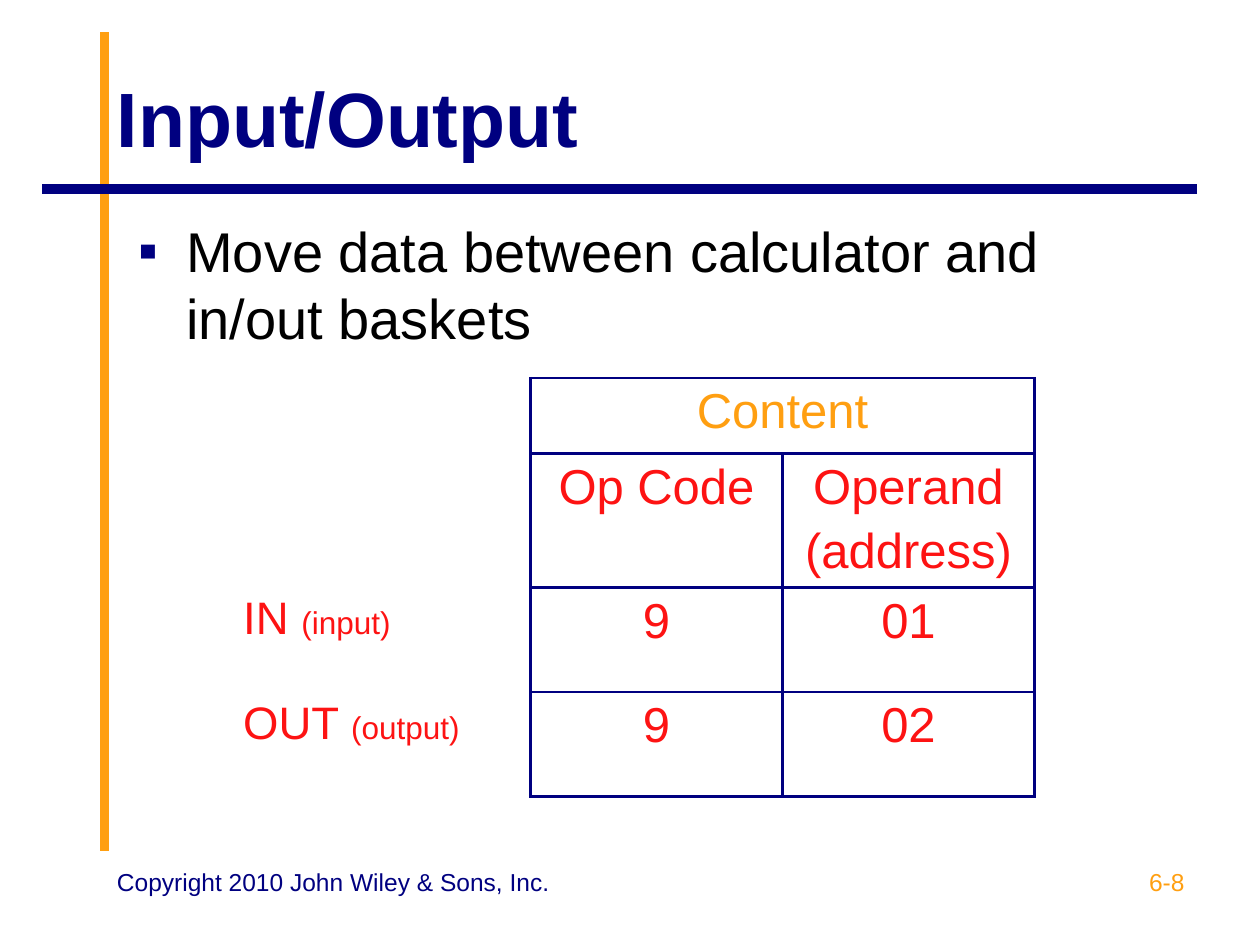
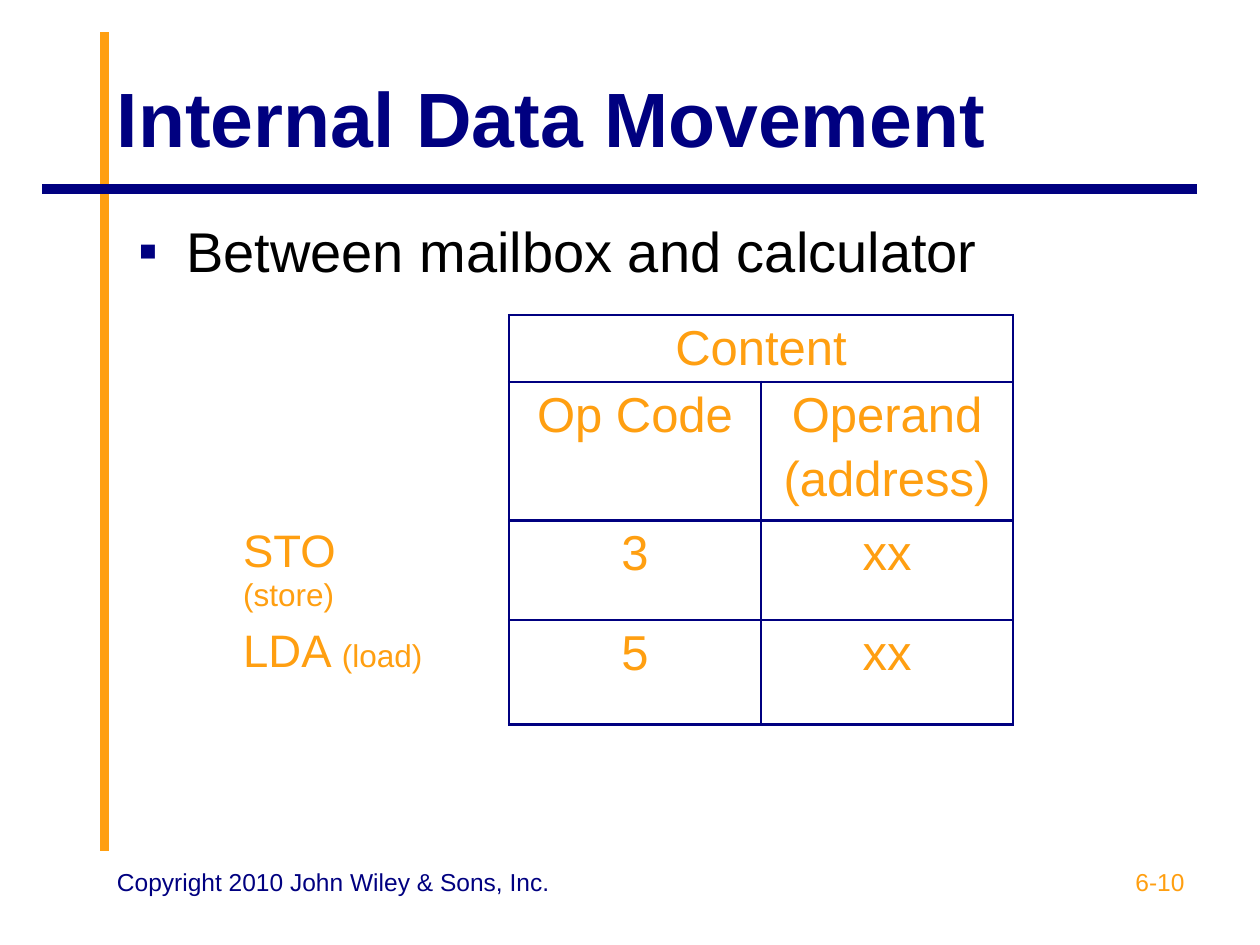
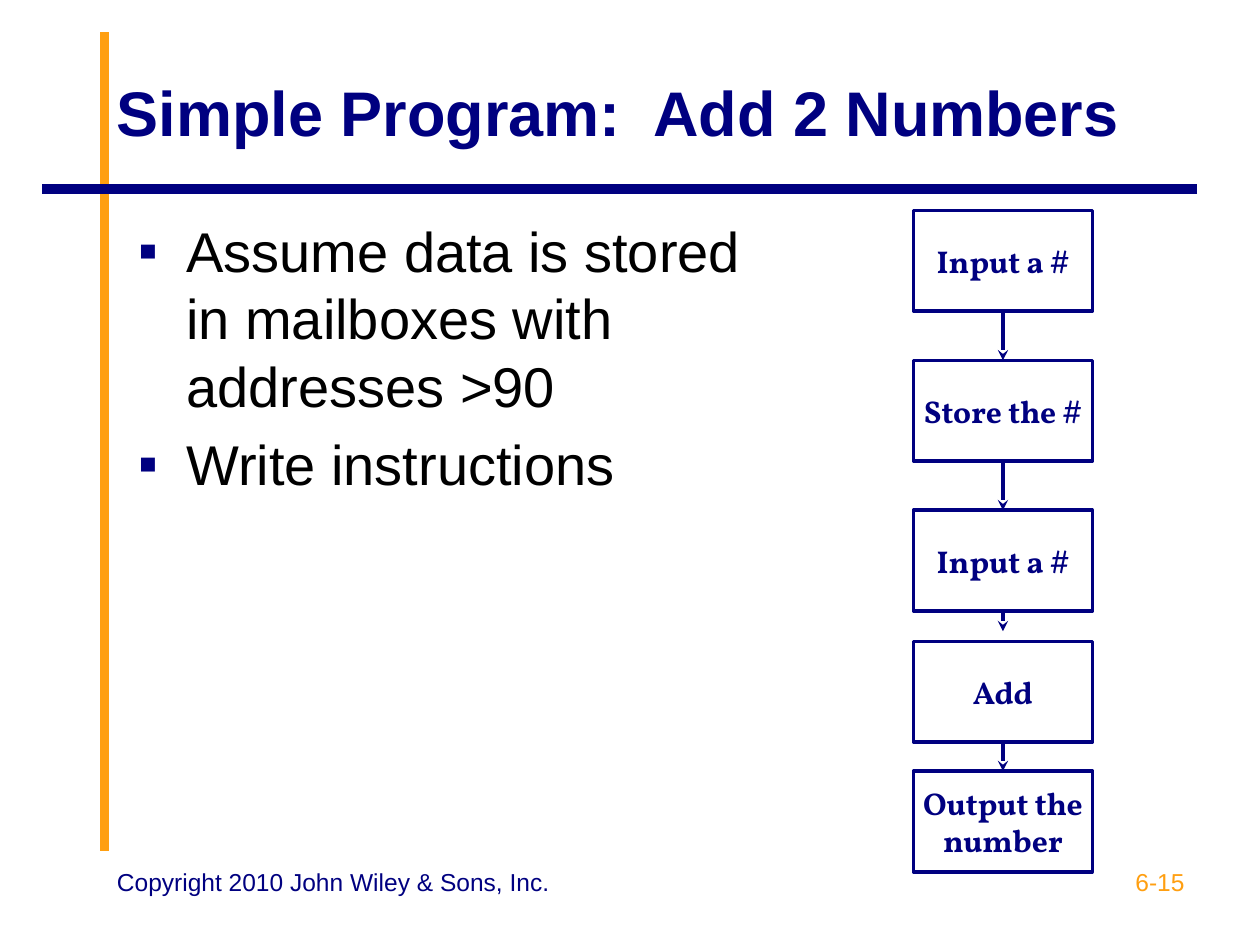
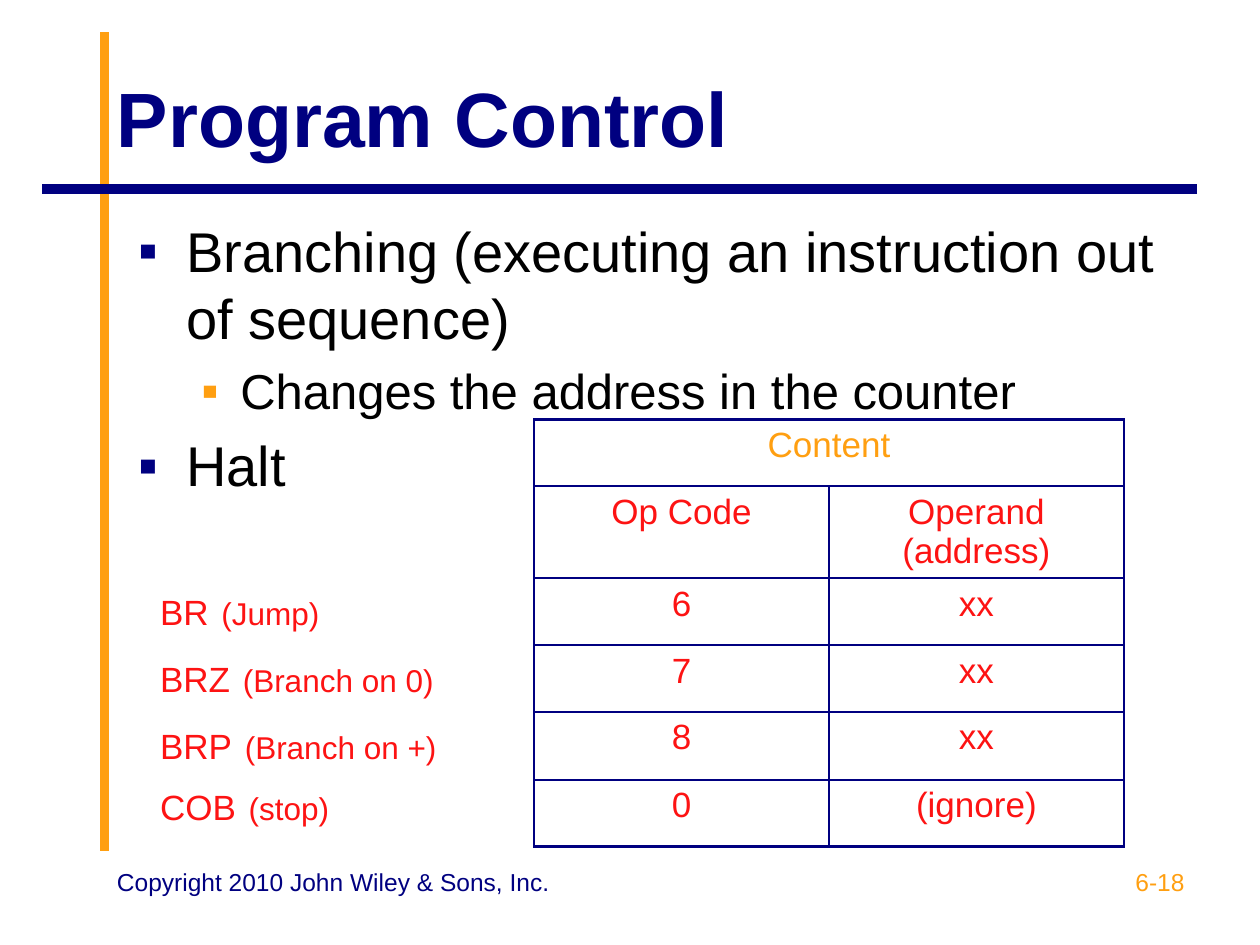
from lxml import etree
from pptx import Presentation
from pptx.dml.color import RGBColor
from pptx.enum.shapes import MSO_CONNECTOR, MSO_SHAPE
from pptx.enum.text import MSO_ANCHOR, PP_ALIGN
from pptx.oxml.ns import qn
from pptx.util import Inches, Pt

LEFT, CENTER, RIGHT = PP_ALIGN.LEFT, PP_ALIGN.CENTER, PP_ALIGN.RIGHT
TOP, MIDDLE = MSO_ANCHOR.TOP, MSO_ANCHOR.MIDDLE
STRAIGHT, RECTANGLE = MSO_CONNECTOR.STRAIGHT, MSO_SHAPE.RECTANGLE

NAVY = RGBColor(0x00, 0x00, 0x80)
ORANGE = RGBColor(0xFF, 0x9F, 0x11)
RED = RGBColor(0xFD, 0x13, 0x13)
BLACK = RGBColor(0x00, 0x00, 0x00)
WHITE = RGBColor(0xFF, 0xFF, 0xFF)
FONT, FLOW_FONT = "Arial", "Vollkorn"

# Content
COPYRIGHT = "Copyright 2010 John Wiley & Sons, Inc."

SLIDES = [
    {
        "title": "Input/Output", "number": "6-8",
        "bullets": [(0, "Move data between calculator and in/out baskets")],
        "table": {
            "at": (1.83, 3), "columns": (2, 0.38, 2, 2), "rows": (0.6, 1.04, 0.83, 0.83),
            "color": RED, "size": 28, "code_size": 26,
            "operand": ["Operand", "(address)"],
            "instructions": [("IN", "(input)", "9", "01"), ("OUT", "(output)", "9", "02")],
        },
    },
    {
        "title": "Internal Data Movement", "number": "6-10", "body_height": 0.78,
        "bullets": [(0, "Between mailbox and calculator")],
        "table": {
            "at": (1.83, 2.5), "columns": (1.75, 0.46, 2, 2), "rows": (0.53, 1.1, 0.79, 0.83),
            "color": ORANGE, "size": 28, "code_size": 26,
            "operand": ["Operand", "(address)"],
            "instructions": [("STO", "(store)", "3", "xx"), ("LDA", "(load)", "5", "xx")],
        },
    },
    {
        "title": "Simple Program:  Add 2 Numbers", "number": "6-15",
        "title_size": 36, "title_spacing": 0.9,
        "bullets": [(0, "Assume data is stored\nin mailboxes with\naddresses >90"),
                    (0, "Write instructions")],
        # Each step: top edge, lines of text
        "flow": [(1.67, ["Input a #"]), (2.86, ["Store the #"]), (4.05, ["Input a #"]),
                 (5.09, ["Add"]), (6.12, ["Output the", "number"])],
    },
    {
        "title": "Program Control", "number": "6-18",
        "bullets": [(0, "Branching (executing an instruction out of sequence)"),
                    (1, "Changes the address in the counter"),
                    (0, "Halt")],
        "table": {
            "at": (1.17, 3.33), "columns": (2.67, 0.4, 2.34, 2.34),
            "rows": (0.53, 0.73, 0.53, 0.53, 0.54, 0.53),
            "color": RED, "size": 20, "code_size": 20,
            "operand": ["Operand\n(address)"],
            "instructions": [("BR", "(Jump)", "6", "xx"), ("BRZ", "(Branch on 0)", "7", "xx"),
                             ("BRP", "(Branch on +)", "8", "xx"), ("COB", "(stop)", "0", "(ignore)")],
            "last_label_spacing": 0.85,
        },
    },
]

# Bullet levels: text size, left margin, hanging indent, bullet colour
LEVELS = [(32, 0.38, 0.38, NAVY), (28, 0.81, 0.31, ORANGE)]

FLOW_LEFT, FLOW_WIDTH, FLOW_HEIGHT = 7.25, 1.42, 0.8
SHORT_ARROW_END = {2: 5.01}  # this arrow stops before the next box


# Text
def set_bullet(paragraph, margin, hanging, color):
    properties = paragraph._p.get_or_add_pPr()
    properties.set("marL", str(Inches(margin)))
    properties.set("indent", str(-Inches(hanging)))
    bullet_color = etree.SubElement(properties, qn("a:buClr"))
    etree.SubElement(bullet_color, qn("a:srgbClr")).set("val", str(color))
    etree.SubElement(properties, qn("a:buFont")).set("typeface", FONT)
    etree.SubElement(properties, qn("a:buChar")).set("char", "▪")


def write_text(frame, paragraphs, size=18, color=BLACK, font=FONT, bold=False,
               align=LEFT, line_spacing=None, space_ratio=0.2, bullet=None):
    """Append paragraphs; each is a string or a list of (text, size) runs."""
    for content in paragraphs:
        first = not frame.text
        paragraph = frame.paragraphs[0] if first else frame.add_paragraph()
        if bullet:
            set_bullet(paragraph, *bullet)
        paragraph.alignment = align
        paragraph.space_before = Pt(0 if first else size * space_ratio)
        if line_spacing:
            paragraph.line_spacing = line_spacing
        runs = [(content, size)] if isinstance(content, str) else content
        for text, run_size in runs:
            for index, line in enumerate(text.split("\n")):
                if index:
                    paragraph.add_line_break()
                run = paragraph.add_run()
                run.text = line
                run.font.name = font
                run.font.size = Pt(run_size)
                run.font.bold = bold
                run.font.color.rgb = color


def add_text_frame(slide, left, top, width, height, anchor=TOP):
    box = slide.shapes.add_textbox(Inches(left), Inches(top), Inches(width), Inches(height))
    box.text_frame.word_wrap = True
    box.text_frame.vertical_anchor = anchor
    return box.text_frame


# Lines
def add_line(slide, start, end, color, width, arrow=False):
    connector = slide.shapes.add_connector(STRAIGHT, *map(Inches, start + end))
    connector.line.color.rgb = color
    connector.line.width = Pt(width)
    if arrow:
        etree.SubElement(connector.line._get_or_add_ln(), qn("a:tailEnd")).set("type", "stealth")
    etree.SubElement(connector._element.spPr, qn("a:effectLst"))
    return connector


# Parts that every slide shares
def add_frame(slide, content):
    add_line(slide, (0.83, 6.75), (0.83, 0.25), ORANGE, 5.5)
    add_line(slide, (9.5, 1.5), (0.33, 1.5), NAVY, 5.5)
    write_text(add_text_frame(slide, 0.83, 6.83, 3.67, 0.52), [COPYRIGHT], size=14, color=NAVY)
    write_text(add_text_frame(slide, 7.17, 6.83, 2.33, 0.52), [content["number"]],
               size=14, color=ORANGE, align=RIGHT)
    write_text(add_text_frame(slide, 0.83, 0.3, 8.67, 1.25, MIDDLE), [content["title"]],
               size=content.get("title_size", 44), color=NAVY, bold=True,
               line_spacing=content.get("title_spacing"))
    body = add_text_frame(slide, 1, 1.67, 8.5, content.get("body_height", 4.95))
    for level, text in content["bullets"]:
        size, *bullet = LEVELS[level]
        write_text(body, [text], size=size, bullet=bullet)


# Instruction table
def set_borders(cell, navy_sides):
    properties = cell._tc.get_or_add_tcPr()
    for position, side in enumerate("LRTB"):
        line = etree.Element(qn(f"a:ln{side}"), w=str(Pt(1.5)))
        if side in navy_sides:
            fill = etree.SubElement(line, qn("a:solidFill"))
            etree.SubElement(fill, qn("a:srgbClr")).set("val", str(NAVY))
        else:
            etree.SubElement(line, qn("a:noFill"))
        properties.insert(position, line)


def add_instruction_table(slide, content):
    columns, rows = content["columns"], content["rows"]
    left, top = content["at"]
    table = slide.shapes.add_table(len(rows), len(columns), Inches(left), Inches(top),
                                   Inches(sum(columns)), Inches(sum(rows))).table
    table.first_row = table.horz_banding = False
    for column, width in zip(table.columns, columns):
        column.width = Inches(width)
    for row, height in zip(table.rows, rows):
        row.height = Inches(height)

    # Only the two right columns are framed
    column_borders = ("", "R", "LRTB", "LRTB")
    for row in table.rows:
        for cell, sides in zip(row.cells, column_borders):
            cell.fill.background()
            cell.margin_bottom = 0  # keeps the rows at their set heights
            set_borders(cell, sides)
    table.cell(0, 2).merge(table.cell(0, 3))

    value_format = {"size": content["size"], "color": content["color"], "align": CENTER}
    write_text(table.cell(0, 2).text_frame, ["Content"], **{**value_format, "color": ORANGE})
    write_text(table.cell(1, 2).text_frame, ["Op Code"], **value_format)
    write_text(table.cell(1, 3).text_frame, content["operand"], **value_format)

    last = len(rows) - 1
    for row, (code, meaning, op_code, operand) in enumerate(content["instructions"], start=2):
        label = [(code, content["code_size"]), (" ", 26), (meaning, 18)]
        spacing = content.get("last_label_spacing") if row == last else None
        write_text(table.cell(row, 0).text_frame, [label], color=content["color"],
                   line_spacing=spacing)
        write_text(table.cell(row, 2).text_frame, [op_code], **value_format)
        write_text(table.cell(row, 3).text_frame, [operand], **value_format)


# Flow chart
def add_flow(slide, steps):
    boxes = []
    for top, lines in steps:
        box = slide.shapes.add_shape(RECTANGLE, Inches(FLOW_LEFT), Inches(top),
                                     Inches(FLOW_WIDTH), Inches(FLOW_HEIGHT))
        box.shadow.inherit = False
        box.fill.solid()
        box.fill.fore_color.rgb = WHITE
        box.line.color.rgb = NAVY
        box.line.width = Pt(2)
        box.text_frame.word_wrap = False
        box.text_frame.vertical_anchor = MIDDLE
        write_text(box.text_frame, lines, color=NAVY, font=FLOW_FONT, bold=True,
                   align=CENTER, space_ratio=0)
        boxes.append(box)

    middle = FLOW_LEFT + FLOW_WIDTH / 2
    for index, (upper, lower) in enumerate(zip(boxes, boxes[1:])):
        start = steps[index][0] + FLOW_HEIGHT
        end = SHORT_ARROW_END.get(index, steps[index + 1][0])
        arrow = add_line(slide, (middle, start), (middle, end), NAVY, 2, arrow=True)
        arrow.begin_connect(upper, 2)
        if index not in SHORT_ARROW_END:
            arrow.end_connect(lower, 0)


def main():
    presentation = Presentation()
    presentation.slide_width, presentation.slide_height = Inches(10), Inches(7.5)
    blank_layout = presentation.slide_layouts[6]
    for content in SLIDES:
        slide = presentation.slides.add_slide(blank_layout)
        add_frame(slide, content)
        if "table" in content:
            add_instruction_table(slide, content["table"])
        if "flow" in content:
            add_flow(slide, content["flow"])
    presentation.save("out.pptx")


if __name__ == "__main__":
    main()
